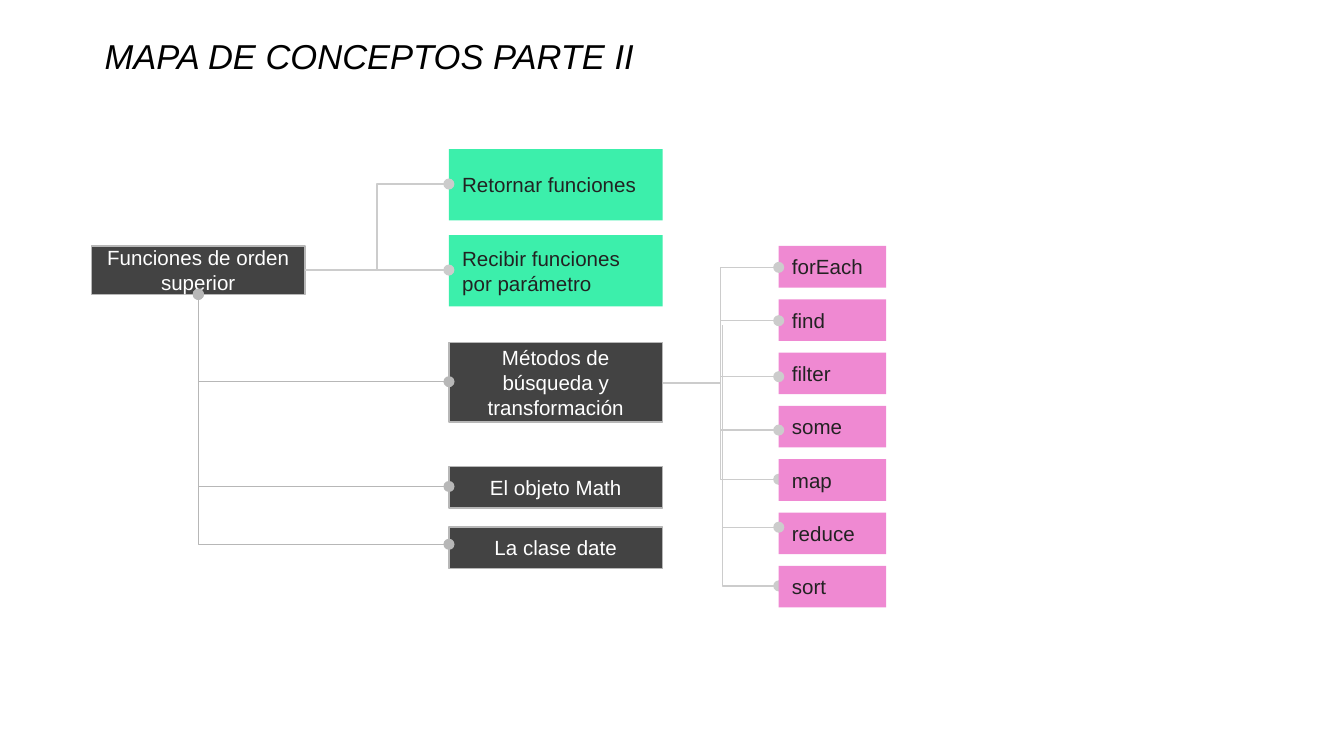
from lxml import etree
from pptx import Presentation
from pptx.dml.color import RGBColor
from pptx.enum.shapes import MSO_CONNECTOR, MSO_SHAPE
from pptx.enum.text import MSO_ANCHOR, PP_ALIGN
from pptx.oxml.ns import qn
from pptx.util import Inches, Pt

RECT, ELBOW = MSO_SHAPE.RECTANGLE, MSO_CONNECTOR.ELBOW
TOP, MID = MSO_ANCHOR.TOP, MSO_ANCHOR.MIDDLE
LEFT, CENTER = PP_ALIGN.LEFT, PP_ALIGN.CENTER
WIDE = Inches(10)
HIGH = WIDE * 9 // 16
COLS, ROWS = 1000, 562.5
COLORS = {"dark": "434343", "green": "3CEFAB", "pink": "EF89D2", "edge": "B7B7B7",
          "link": "CCCCCC", "ink": "222222", "white": "FFFFFF", "black": "000000"}
TITLE = (68, 22, 777, 46)
ROOT = (68, 183, 159, 36)
USES = (334, 111, 159, 117)
TOPICS = (334, 255, 159, 168)
METHODS = (579.4, 183, 80, 269)


def rgb(name):
    """Return the named colour."""
    return RGBColor.from_string(COLORS[name])


def grid(col, row):
    """Turn a column and a row into slide lengths."""
    return round(col * WIDE / COLS), round(row * HIGH / ROWS)


def write(shape, text, size=11, color="ink", align=LEFT, anchor=MID, italic=None, space=None):
    """Put formatted text into a shape."""
    frame = shape.text_frame
    frame.word_wrap = True
    frame.vertical_anchor = anchor
    frame.margin_left = frame.margin_right = Inches(0.1)
    frame.margin_top = frame.margin_bottom = Inches(0.1)
    para = frame.paragraphs[0]
    para.alignment, para.line_spacing = align, space
    run = para.add_run()
    run.text = text
    font = run.font
    font.name, font.size, font.italic = "Arial", Pt(size), italic
    font.color.rgb = rgb(color)


def node(slide, box, text, fill, edge=None, **style):
    """Draw one labelled rectangle."""
    col, row, wide, high = box
    shape = slide.shapes.add_shape(RECT, *grid(col, row), *grid(wide, high))
    shape.shadow.inherit = False
    shape.fill.solid()
    shape.fill.fore_color.rgb = rgb(fill)
    if edge:
        shape.line.color.rgb = rgb(edge)
        shape.line.width = Pt(0.75)
    else:
        shape.line.fill.background()
    write(shape, text, **style)


def dark(slide, box, text):
    """Draw a dark topic rectangle."""
    node(slide, box, text, "dark", "edge", color="white", align=CENTER)


def link(slide, start, end, color="link", ends=("tailEnd",), drop=False):
    """Join two points with an elbow, going down first if drop is set."""
    (left, top), (right, low) = start, end
    if drop:
        mid, level = (left + right) / 2, (top + low) / 2
        half, rise = (low - top) / 2, (right - left) / 2
        start, end = (mid - half, level - rise), (mid + half, level + rise)
    line = slide.shapes.add_connector(ELBOW, *grid(*start), *grid(*end))
    line.line.color.rgb = rgb(color)
    line.line.width = Pt(0.75)
    props = line.element.spPr
    if drop:
        frame = props.find(qn("a:xfrm"))
        frame.set("rot", "16200000")
        frame.set("flipH", "1")
        props.find(qn("a:prstGeom")).set("prst", "bentConnector2")
    for tip in ends:
        etree.SubElement(props.find(qn("a:ln")), qn("a:" + tip)).set("type", "oval")
    etree.SubElement(props, qn("a:effectLst"))


def title(slide, box):
    """Write the heading."""
    col, row, wide, high = box
    area = slide.shapes.add_textbox(*grid(col, row), *grid(wide, high))
    write(area, "MAPA DE CONCEPTOS PARTE II", size=18.5, color="black",
          anchor=TOP, italic=True, space=0.8)


def uses(slide, box, start):
    """Draw the two uses of higher-order functions and their links."""
    col, row, wide, high = box
    tall = 53
    for i, text in enumerate(("Retornar funciones", "Recibir funciones por parámetro")):
        top = row + i * (high - tall)
        node(slide, (col, top, wide, tall), text, "green")
        link(slide, start, (col, row + 26 + i * (high - tall)))


def topics(slide, box, start):
    """Draw the related topics, each joined to the root from below."""
    col, row, wide, _ = box
    items = (("Métodos de búsqueda y transformación", 0, 59, 29),
             ("El objeto Math", 92, 31, 15),
             ("La clase date", 137, 31, 13))
    for text, drop, tall, port in items:
        dark(slide, (col, row + drop, wide, tall), text)
        link(slide, start, (col, row + drop + port), "edge", ("headEnd", "tailEnd"), True)


def methods(slide, box, start):
    """Draw the array methods, two of them covering their link ends."""
    col, row, wide, high = box
    tall, bend = 31, col - 42
    items = (("forEach", 16, None), ("find", 16, None), ("filter", 18, None),
             ("some", 18, None), ("map", 15, None), ("reduce", 11, 59), ("sort", 15, 103))
    step = (high - tall) / (len(items) - 1)
    for i, (text, port, drop) in enumerate(items):
        top = row + i * step
        source = (bend, row + drop) if drop else start
        join = (slide, source, (col, top + port))
        under = text in ("map", "sort")
        if under:
            link(*join, drop=bool(drop))
        node(slide, (col, top, wide, tall), text, "pink")
        if not under:
            link(*join, drop=bool(drop))


def build():
    """Build the concept map and save it."""
    deck = Presentation()
    deck.slide_width, deck.slide_height = WIDE, HIGH
    slide = deck.slides.add_slide(deck.slide_layouts[6])
    col, row, wide, high = ROOT
    dark(slide, ROOT, "Funciones de orden superior")
    uses(slide, USES, (col + wide, row + high / 2))
    topics(slide, TOPICS, (col + wide / 2, row + high))
    methods(slide, METHODS, (TOPICS[0] + TOPICS[2], TOPICS[1] + 30))
    title(slide, TITLE)
    deck.save("out.pptx")


if __name__ == "__main__":
    build()
